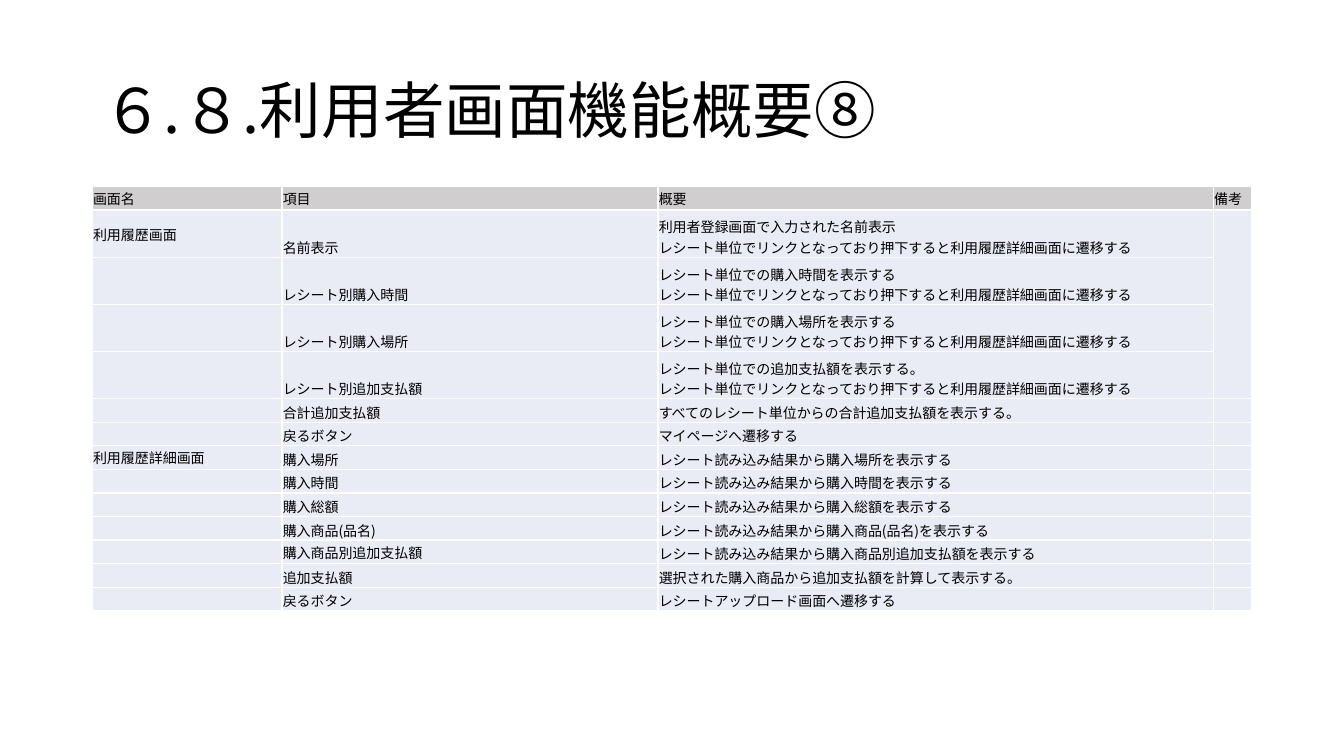
from lxml import etree
from pptx import Presentation
from pptx.dml.color import RGBColor
from pptx.enum.text import MSO_ANCHOR
from pptx.oxml.ns import qn
from pptx.util import Pt

MIDDLE, BOTTOM = MSO_ANCHOR.MIDDLE, MSO_ANCHOR.BOTTOM
BLACK = RGBColor(0x00, 0x00, 0x00)
WHITE = RGBColor(0xFF, 0xFF, 0xFF)
HEADER_GRAY = RGBColor(0xD0, 0xCE, 0xCE)
BODY_BLUE = RGBColor(0xE9, 0xEB, 0xF5)
FONT = "Noto Sans CJK JP"

TITLE = "６.８.利用者画面機能概要⑧"
HEADINGS = ("画面名", "項目", "概要", "備考")
LINK_NOTE = "\nレシート単位でリンクとなっており押下すると利用履歴詳細画面に遷移する"
SCREENS = {
    "利用履歴画面": [
        ("名前表示", "利用者登録画面で入力された名前表示" + LINK_NOTE),
        ("レシート別購入時間", "レシート単位での購入時間を表示する" + LINK_NOTE),
        ("レシート別購入場所", "レシート単位での購入場所を表示する" + LINK_NOTE),
        ("レシート別追加支払額", "レシート単位での追加支払額を表示する。" + LINK_NOTE),
        ("合計追加支払額", "すべてのレシート単位からの合計追加支払額を表示する。"),
        ("戻るボタン", "マイページへ遷移する"),
    ],
    "利用履歴詳細画面": [
        ("購入場所", "レシート読み込み結果から購入場所を表示する"),
        ("購入時間", "レシート読み込み結果から購入時間を表示する"),
        ("購入総額", "レシート読み込み結果から購入総額を表示する"),
        ("購入商品(品名)", "レシート読み込み結果から購入商品(品名)を表示する"),
        ("購入商品別追加支払額", "レシート読み込み結果から購入商品別追加支払額を表示する"),
        ("追加支払額", "選択された購入商品から追加支払額を計算して表示する。"),
        ("戻るボタン", "レシートアップロード画面へ遷移する"),
    ],
}
CENTERED_ITEM = "購入商品別追加支払額"
MERGED_REMARK_ROWS = (1, 4)

LEFT, WIDTH = 66, 828
TITLE_TOP, TITLE_HEIGHT, TITLE_SIZE = 28.75, 104.4, 44
TABLE_TOP, LINE_HEIGHT, TABLE_SIZE = 133.2, 16.85, 10
COLUMN_WIDTHS = (135.5, 268.6, 396.7, 27.2)
CELL_FORMAT = {"margin_left": Pt(0.5), "margin_right": Pt(0.5),
               "margin_top": Pt(0.5), "margin_bottom": Pt(0)}
TITLE_FORMAT = {"word_wrap": True, "vertical_anchor": MIDDLE}


def apply_format(target, values):
    for name, value in values.items():
        setattr(target, name, value)


def write(paragraph, text, size):
    paragraph.text = text
    for run in paragraph.runs:
        apply_format(run.font, {"size": Pt(size), "name": FONT})
        run.font.color.rgb = BLACK
        east_asian = etree.SubElement(run.font._element, qn("a:ea"))
        east_asian.set("typeface", FONT)
    for line_break in paragraph._p.findall(qn("a:br")):
        etree.SubElement(line_break, qn("a:rPr")).set("sz", str(size * 100))
    ending = etree.SubElement(paragraph._p, qn("a:endParaRPr"))
    ending.set("sz", str(size * 100))


def add_borders(cell):
    properties = cell._tc.get_or_add_tcPr()
    for side in ("lnL", "lnR", "lnT", "lnB"):
        border = etree.SubElement(properties, qn("a:" + side), w=str(Pt(1)))
        fill = etree.SubElement(border, qn("a:solidFill"))
        etree.SubElement(fill, qn("a:srgbClr"), val=str(WHITE))


def add_title(slide):
    box = slide.shapes.add_textbox(Pt(LEFT), Pt(TITLE_TOP), Pt(WIDTH), Pt(TITLE_HEIGHT))
    apply_format(box.text_frame, TITLE_FORMAT)
    heading = box.text_frame.paragraphs[0]
    heading.line_spacing = 0.9
    write(heading, TITLE, TITLE_SIZE)


def add_function_table(slide):
    rows = [HEADINGS]
    for screen, functions in SCREENS.items():
        for index, (item, summary) in enumerate(functions):
            rows.append((screen if index == 0 else "", item, summary, ""))
    line_counts = [row[2].count("\n") + 1 for row in rows]
    table = slide.shapes.add_table(
        len(rows), len(HEADINGS), Pt(LEFT), Pt(TABLE_TOP),
        Pt(WIDTH), Pt(LINE_HEIGHT * sum(line_counts))).table
    apply_format(table, {"first_row": False, "horz_banding": False})
    for column, width in zip(table.columns, COLUMN_WIDTHS):
        column.width = Pt(width)
    for r, (row, lines) in enumerate(zip(rows, line_counts)):
        table.rows[r].height = Pt(LINE_HEIGHT * lines)
        for c, text in enumerate(row):
            cell = table.cell(r, c)
            centered = r == 0 or c == 0 or text == CENTERED_ITEM
            apply_format(cell, CELL_FORMAT)
            cell.vertical_anchor = MIDDLE if centered else BOTTOM
            write(cell.text_frame.paragraphs[0], text, TABLE_SIZE)
            add_borders(cell)
            cell.fill.solid()
            cell.fill.fore_color.rgb = HEADER_GRAY if r == 0 else BODY_BLUE
    first, last = MERGED_REMARK_ROWS
    remark = len(HEADINGS) - 1
    table.cell(first, remark).merge(table.cell(last, remark))


def main():
    presentation = Presentation()
    apply_format(presentation, {"slide_width": Pt(960), "slide_height": Pt(540)})
    slide = presentation.slides.add_slide(presentation.slide_layouts[6])
    add_title(slide)
    add_function_table(slide)
    presentation.save("out.pptx")


if __name__ == "__main__":
    main()
